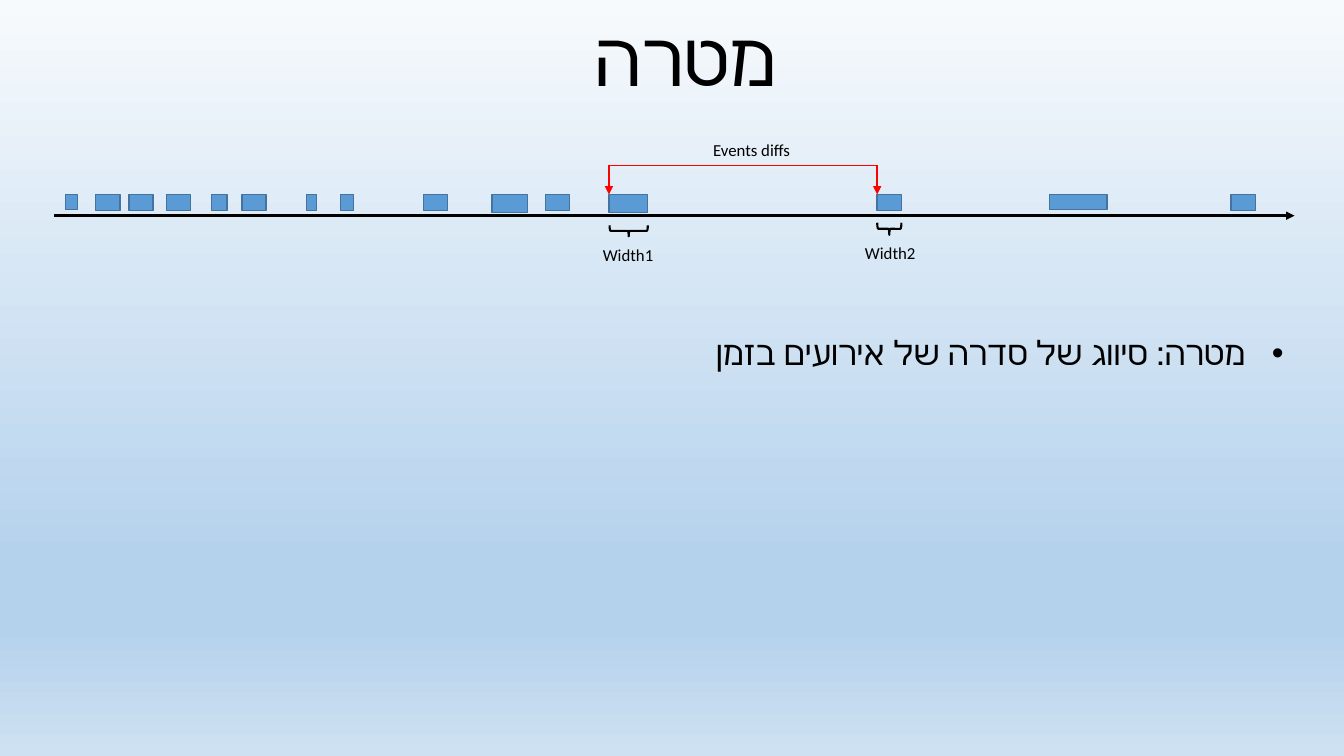
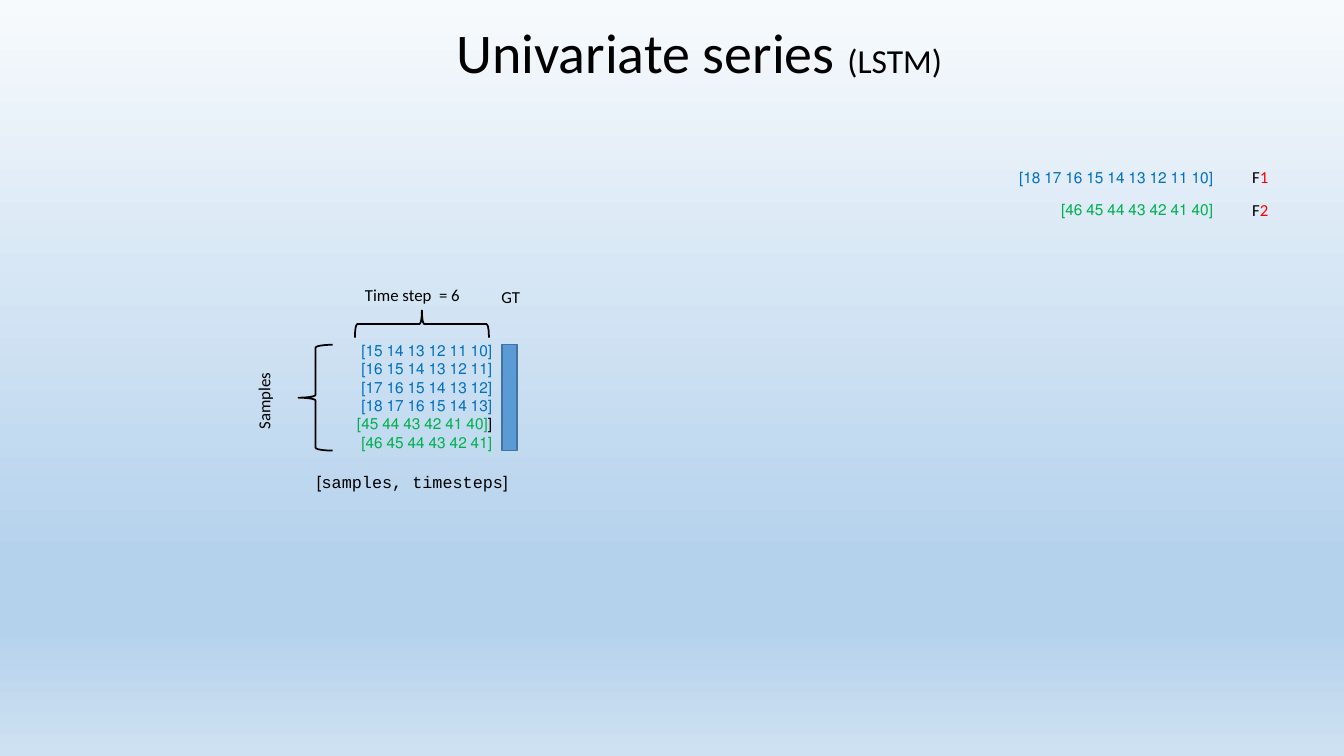
from dataclasses import dataclass

from lxml.etree import SubElement
from pptx import Presentation
from pptx.dml.color import RGBColor
from pptx.enum.shapes import MSO_CONNECTOR, MSO_SHAPE
from pptx.enum.text import MSO_ANCHOR, MSO_AUTO_SIZE, PP_ALIGN
from pptx.oxml.ns import qn
from pptx.util import Inches, Pt


@dataclass(frozen=True)
class Theme:
    font: str = "Calibri"
    code: str = "Courier New"
    ink: str = "000000"
    red: str = "FF0000"
    blue: str = "0070C0"
    green: str = "00B050"
    bar: str = "5B9BD5"
    edge: str = "43739E"
    sky: tuple = ((0, "F7FAFD"), (74, "B5D2EC"), (83, "B5D2EC"), (100, "CEE1F2"))
    head: int = 54
    title: int = 40
    body: int = 24
    label: int = 12
    data: int = 11


theme = Theme()
CENTER, RIGHT = PP_ALIGN.CENTER, PP_ALIGN.RIGHT


def write(shape, paras, size, align=CENTER, rtl=True, font=theme.font):
    """Fill a shape with paragraphs, each a list of (text, colour) runs."""
    frame = shape.text_frame
    frame.word_wrap = True
    frame.auto_size = MSO_AUTO_SIZE.NONE
    for i, parts in enumerate(paras):
        para = frame.add_paragraph() if i else frame.paragraphs[0]
        para.alignment = align
        if rtl:
            para._p.get_or_add_pPr().set("rtl", "1")
        for text, color in parts:
            run = para.add_run()
            run.text = text
            run.font.name = font
            run.font.size = Pt(size)
            run.font.color.rgb = RGBColor.from_string(color)
    return shape


def draw(shape, line, width, fill=None, arrow=False):
    """Style the outline, fill and arrowhead of a shape or connector."""
    shape.line.color.rgb = RGBColor.from_string(line)
    shape.line.width = Pt(width)
    if arrow:
        SubElement(shape.line._get_or_add_ln(), qn("a:tailEnd"), type="triangle")
    if fill:
        shape.fill.solid()
        shape.fill.fore_color.rgb = RGBColor.from_string(fill)
    elif hasattr(shape, "fill"):
        shape.fill.background()
    SubElement(shape._element.spPr, qn("a:effectLst"))
    return shape


deck = Presentation()
deck.slide_width, deck.slide_height = Inches(13.33), Inches(7.5)

# Shared background
master = deck.slide_master
back = master.background.fill
back.gradient()
back.gradient_angle = 270
stops = master.element.find(".//" + qn("a:gsLst"))
for stop in list(stops):
    stops.remove(stop)
for pos, color in theme.sky:
    stop = SubElement(stops, qn("a:gs"), pos=str(pos * 1000))
    SubElement(stop, qn("a:srgbClr"), val=color)

# Slide 1: events on a time line
slide = deck.slides.add_slide(deck.slide_layouts[0])
shapes = slide.shapes
title, goal = slide.placeholders
title.left, title.top, title.width, title.height = map(Inches, (0.89, 0.32, 11.82, 0.75))
write(title, [[("מטרה", theme.ink)]], theme.head)
title.text_frame.vertical_anchor = MSO_ANCHOR.BOTTOM

goal.left, goal.top, goal.width, goal.height = map(Inches, (0.54, 3.29, 12.29, 3.63))
write(goal, [[("מטרה: סיווג של סדרה של אירועים בזמן", theme.ink)]], theme.body, RIGHT)
goal.text_frame.vertical_anchor = MSO_ANCHOR.TOP
para = goal.text_frame.paragraphs[0]
para.space_before = Pt(10)
props = para._p.get_or_add_pPr()
props.set("marR", str(Inches(0.38)))
props.set("marL", str(Inches(0.38)))
props.set("indent", str(-Inches(0.38)))
SubElement(props, qn("a:buFont"), typeface="Arial")
SubElement(props, qn("a:buChar"), char="•")
for holder in (title, goal):
    holder.text_frame.paragraphs[0].line_spacing = 0.9

EVENT_Y, DIFF_Y, AXIS_Y = 1.93, 1.64, 2.14
FIRST, SECOND = 6.04, 8.7
events = [
    (0.65, 0.12, 0.15), (0.95, 0.24, 0.16), (1.28, 0.24, 0.16),
    (1.65, 0.24, 0.16), (2.1, 0.15, 0.16), (2.4, 0.24, 0.16),
    (3.04, 0.1, 0.16), (3.38, 0.13, 0.16), (4.2, 0.24, 0.16),
    (4.88, 0.35, 0.18), (5.41, 0.24, 0.16), (FIRST, 0.38, 0.18),
    (SECOND, 0.24, 0.16), (10.41, 0.57, 0.15), (12.21, 0.24, 0.16),
]
for x, wide, high in events:
    box = shapes.add_shape(MSO_SHAPE.RECTANGLE, *map(Inches, (x, EVENT_Y, wide, high)))
    draw(box, theme.edge, 1, theme.bar)

for ends, color, width, arrow in [
    ((0.54, AXIS_Y, 12.84, AXIS_Y), theme.ink, 2, True),
    ((FIRST, DIFF_Y, FIRST, EVENT_Y), theme.red, 1, True),
    ((SECOND, DIFF_Y, SECOND, EVENT_Y), theme.red, 1, True),
    ((FIRST, DIFF_Y, SECOND, DIFF_Y), theme.red, 1, False),
]:
    line = shapes.add_connector(MSO_CONNECTOR.STRAIGHT, *map(Inches, ends))
    draw(line, color, width, arrow=arrow)

for area in [(6.18, 2.1, 0.11, 0.38), (8.76, 2.15, 0.12, 0.24)]:
    brace = shapes.add_shape(MSO_SHAPE.RIGHT_BRACE, *map(Inches, area))
    brace.rotation = 90
    draw(brace, theme.ink, 1.5)

for text, x, y, wide in [
    ("Width1", 5.8, 2.38, 0.86),
    ("Width2", 8.4, 2.36, 0.86),
    ("Events diffs", 6.94, 1.34, 1.03),
]:
    box = shapes.add_textbox(*map(Inches, (x, y, wide, 0.3)))
    write(box, [[(text, theme.ink)]], theme.label)

# Slide 2: samples cut from two series
slide = deck.slides.add_slide(deck.slide_layouts[5])
shapes = slide.shapes
title = shapes.title
title.left, title.top, title.width, title.height = map(Inches, (1.04, 0.12, 11.79, 0.77))
write(title, [[("Univariate series ", theme.ink), ("(LSTM)", theme.ink)]],
      theme.title, rtl=False)
title.text_frame.vertical_anchor = MSO_ANCHOR.TOP
title.text_frame.paragraphs[0].runs[1].font.size = Pt(theme.body)

series = [
    ("1", "[10 11 12 13 14 15 16 17 18]", theme.blue),
    ("2", "[40 41 42 43 44 45 46]", theme.green),
]
for i, (mark, text, color) in enumerate(series):
    y = 1.61 + 0.32 * i
    name = shapes.add_textbox(*map(Inches, (12.32, y, 0.39, 0.3)))
    write(name, [[("F", theme.ink), (mark, theme.red)]], theme.label, None)
    row = shapes.add_textbox(*map(Inches, (4.55, y + 0.01, 7.58, 0.29)))
    write(row, [[(text, color)]], theme.data, RIGHT)

STEPS = 6
rows = []
for start, count, color in [(10, 4, theme.blue), (40, 2, theme.green)]:
    for first in range(start, start + count):
        values = " ".join(str(first + k) for k in range(STEPS))
        rows.append([(f"[{values}]", color)])
rows[4].insert(0, ("[", theme.ink))
grid = shapes.add_textbox(*map(Inches, (3.19, 3.33, 1.79, 1.21)))
write(grid, rows, theme.data, RIGHT)

for area, turn in [((4.05, 2.55, 0.27, 1.33), 270), ((2.96, 3.42, 0.34, 1.05), 180)]:
    brace = shapes.add_shape(MSO_SHAPE.RIGHT_BRACE, *map(Inches, area))
    brace.rotation = turn
    draw(brace, theme.ink, 1.25)

truth = shapes.add_shape(MSO_SHAPE.RECTANGLE, *map(Inches, (4.98, 3.42, 0.15, 1.05)))
draw(truth, theme.edge, 1, theme.bar)

for text, area, turn, rtl, font in [
    ("Time step  = 6", (3.3, 2.78, 1.58, 0.3), 0, False, theme.font),
    ("GT", (4.81, 2.8, 0.51, 0.3), 0, False, theme.font),
    ("Samples", (2.13, 3.79, 1.05, 0.38), 270, True, theme.font),
    ("[samples, timesteps]", (2.7, 4.63, 2.78, 0.35), 0, True, theme.code),
]:
    box = shapes.add_textbox(*map(Inches, area))
    box.rotation = turn
    write(box, [[(text, theme.ink)]], theme.label, rtl=rtl, font=font)

deck.save("out.pptx")
